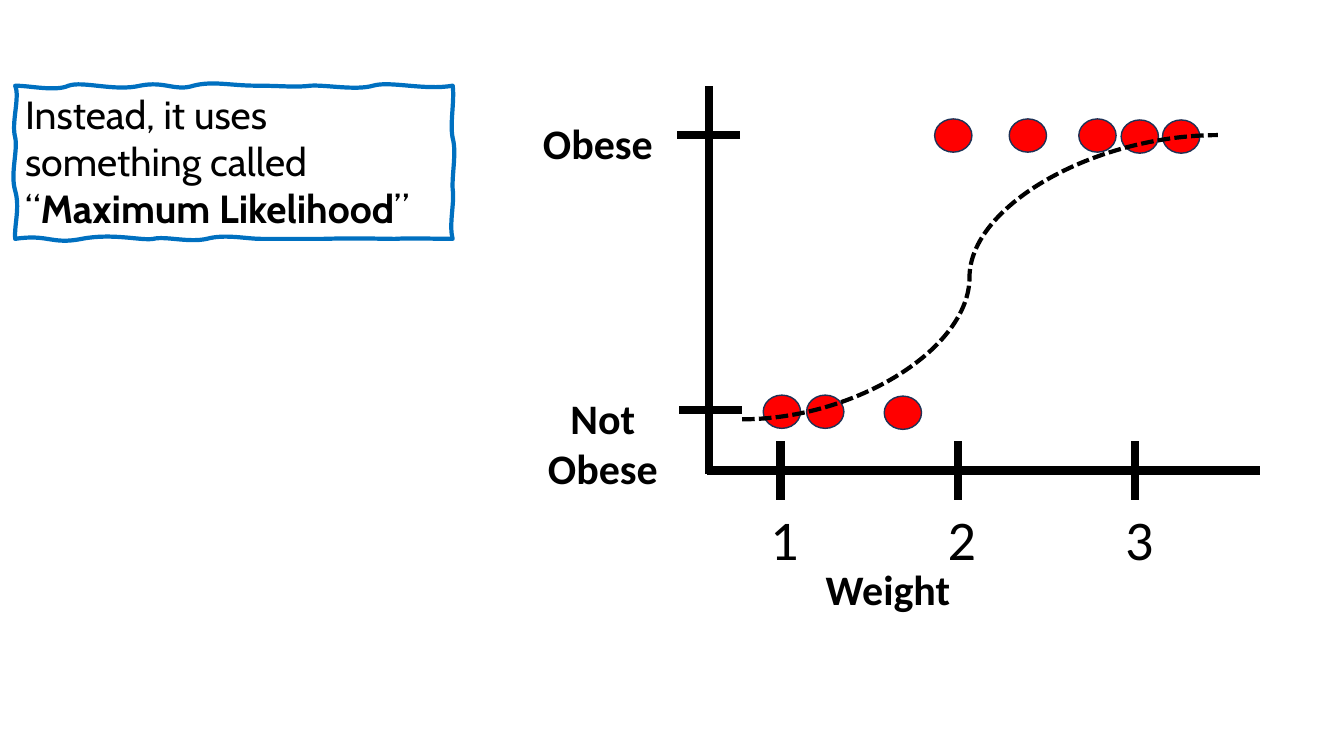
from dataclasses import dataclass, field
from typing import NamedTuple

from lxml import etree
from pptx import Presentation, util as u
from pptx.dml.color import RGBColor
from pptx.enum import dml, shapes, text
from pptx.oxml import ns


@dataclass(frozen=True)
class Theme:
    ink: RGBColor = RGBColor(0x00, 0x00, 0x00)
    frame: RGBColor = RGBColor(0x00, 0x70, 0xC0)
    dot: RGBColor = RGBColor(0xFF, 0x00, 0x00)
    rim: RGBColor = RGBColor(0x1E, 0x32, 0x56)
    note: dict = field(default_factory=lambda: {"name": "Cabin", "size": u.Pt(28)})
    label: dict = field(default_factory=lambda: {"name": "Calibri", "size": u.Pt(30), "bold": True})
    digit: dict = field(default_factory=lambda: {"name": "Calibri", "size": u.Pt(40)})
    axis: float = 6
    curve: float = 3
    thin: float = 1


class Stroke(NamedTuple):
    x1: float
    y1: float
    x2: float
    y2: float


class Label(NamedTuple):
    words: str
    x: float
    y: float
    wide: float
    high: float
    font: dict
    align: text.PP_ALIGN = text.PP_ALIGN.LEFT
    wrap: bool = True


class Dot(NamedTuple):
    x: float
    y: float


THEME = Theme()
CELL = 0.1  # grid cell in inches: 133.3 columns by 75 rows

# Plot: axes, ticks, labels and points in grid cells
TICKS = [77.4 + 17.6 * i for i in range(3)]
STROKES = [
    Stroke(70.3, 47, 70.3, 8.5),
    Stroke(70.1, 46.7, 125, 46.7),
    *[Stroke(x, 43.8, x, 49.6) for x in TICKS],
    Stroke(73.6, 40.7, 67.3, 40.7),
    Stroke(73.4, 13.4, 67.1, 13.4),
]
LABELS = [
    Label("Weight", 80.9, 55.4, 15.1, 6.1, THEME.label),
    *[Label(str(i), x - 2, 49.6, 3.9, 5.8, THEME.digit, wrap=False)
      for i, x in enumerate(TICKS, 1)],
    Label("Not Obese", 52.6, 38.4, 14.4, 11.1, THEME.label, text.PP_ALIGN.CENTER),
    Label("Obese", 52.8, 11.2, 13, 6.1, THEME.label, text.PP_ALIGN.CENTER),
]
DOTS = [
    Dot(75.7, 39.2), Dot(80, 39.2), Dot(87.7, 39.3),
    *[Dot(x, 11.8) for x in (92.7, 100.1, 107)],
    *[Dot(x, 11.9) for x in (111.2, 115.3)],
]
FIT = Stroke(73.6, 41.6, 120.8, 13.4)

# Wavy frame: its box, then two handles and an end point per curve
LEFT, TOP, RIGHT, FOOT = 1.5, 8.5, 45, 23.6
WAVES = [
    (3, 8.5, 5.5, 9.1, 6.8, 8.5), (8.2, 8, 11.4, 9.1, 13.9, 8.5),
    (16.4, 8, 17.3, 9.1, 19.2, 8.5), (21.1, 8, 22.9, 8.5, 25.4, 8.5),
    (28, 8.5, 29.3, 8.7, 30.8, 8.5), (32.3, 8.4, 35.3, 9, 37, 8.5),
    (38.7, 8, 42.1, 9, 44.9, 8.5), (45.1, 10, 44.6, 12.3, 44.9, 13.7),
    (45.3, 15.1, 44.8, 17.4, 44.9, 18.8), (45.1, 20.1, 44.5, 22.3, 44.9, 23.7),
    (43, 23.7, 40.7, 23.6, 39.2, 23.7), (37.7, 23.7, 35.4, 23.6, 32.1, 23.7),
    (28.8, 23.7, 27.3, 23.7, 25.9, 23.7), (24.4, 23.7, 22.3, 23.2, 20.5, 23.7),
    (18.7, 24.1, 16.4, 23.4, 15.2, 23.7), (14, 23.9, 11.2, 23.1, 8.1, 23.7),
    (5.1, 24.3, 4.8, 23.2, 1.5, 23.7), (1.4, 22.3, 2, 20.6, 1.5, 18.9),
    (1, 17.2, 1.8, 14.9, 1.5, 13.6), (1.1, 12.2, 2, 9.6, 1.5, 8.5),
]


def grid(n: float) -> int:
    return u.Inches(n * CELL)


def style(item, values: dict) -> None:
    for name, value in values.items():
        setattr(item, name, value)


def write(para, words: str, font: dict) -> None:
    run = para.add_run()
    run.text = words
    style(run.font, font)
    run.font.color.rgb = THEME.ink


def draw_line(group, s: Stroke, width: float, kind=shapes.MSO_CONNECTOR.STRAIGHT):
    link = group.shapes.add_connector(kind, *map(grid, s))
    link.line.color.rgb = THEME.ink
    link.line.width = u.Pt(width)
    etree.SubElement(link._element.spPr, ns.qn("a:effectLst"))
    return link


def draw_label(group, s: Label) -> None:
    frame = group.shapes.add_textbox(*map(grid, (s.x, s.y, s.wide, s.high))).text_frame
    style(frame, {"word_wrap": s.wrap, "auto_size": text.MSO_AUTO_SIZE.SHAPE_TO_FIT_TEXT})
    para = frame.paragraphs[0]
    para.alignment = s.align
    write(para, s.words, s.font)


def draw_dot(group, s: Dot) -> None:
    dot = group.shapes.add_shape(shapes.MSO_SHAPE.OVAL, *map(grid, (s.x, s.y, 3.7, 3.3)))
    dot.shadow.inherit = False
    dot.fill.solid()
    dot.fill.fore_color.rgb = THEME.dot
    dot.line.color.rgb = THEME.rim
    dot.line.width = u.Pt(THEME.thin)


def draw_fit(group, s: Stroke) -> None:
    fit = draw_line(group, s, THEME.curve, shapes.MSO_CONNECTOR.CURVE)
    fit.line.dash_style = dml.MSO_LINE.SQUARE_DOT
    geom = fit._element.spPr.find(ns.qn("a:prstGeom"))
    bend = geom.find(ns.qn("a:avLst"))
    if bend is None:
        bend = etree.SubElement(geom, ns.qn("a:avLst"))
    etree.SubElement(bend, ns.qn("a:gd"), name="adj1", fmla="val 47800")


def bend_sides(shape) -> None:
    """Turn the straight sides of the box into the wavy curves."""
    outline = next(shape._element.iter(ns.qn("a:path")))
    for side in outline.findall(ns.qn("a:lnTo")):
        outline.remove(side)
    close = outline.find(ns.qn("a:close"))
    for wave in WAVES:
        curve = etree.Element(ns.qn("a:cubicBezTo"))
        for x, y in zip(wave[::2], wave[1::2]):
            etree.SubElement(curve, ns.qn("a:pt"),
                             x=str(grid(x - LEFT)), y=str(grid(y - TOP)))
        close.addprevious(curve)


def draw_note(slide) -> None:
    pen = slide.shapes.build_freeform(grid(LEFT), grid(TOP))
    pen.add_line_segments([(grid(x), grid(y)) for x, y in
                           ((RIGHT, TOP), (RIGHT, FOOT), (LEFT, FOOT))], close=True)
    note = pen.convert_to_shape()
    bend_sides(note)
    note.shadow.inherit = False
    note.fill.background()
    note.line.color.rgb = THEME.frame
    note.line.width = u.Pt(THEME.curve)
    frame = note.text_frame
    style(frame, {"word_wrap": True, "vertical_anchor": text.MSO_ANCHOR.TOP,
                  "auto_size": text.MSO_AUTO_SIZE.SHAPE_TO_FIT_TEXT})
    para = frame.paragraphs[0]
    para.alignment = text.PP_ALIGN.LEFT
    for words, bold in (("Instead, it uses something called “", False),
                        ("Maximum Likelihood", True), ("”", False)):
        write(para, words, THEME.note | {"bold": bold})


def main() -> None:
    deck = Presentation()
    style(deck, {"slide_width": u.Inches(13.33), "slide_height": u.Inches(7.5)})
    slide = deck.slides.add_slide(deck.slide_layouts[6])

    # Message box
    draw_note(slide)

    # Plot with fitted curve on top
    plot = slide.shapes.add_group_shape()
    for s in STROKES:
        draw_line(plot, s, THEME.axis)
    for s in LABELS:
        draw_label(plot, s)
    for s in DOTS:
        draw_dot(plot, s)
    draw_fit(plot, FIT)

    deck.save("out.pptx")


if __name__ == "__main__":
    main()
